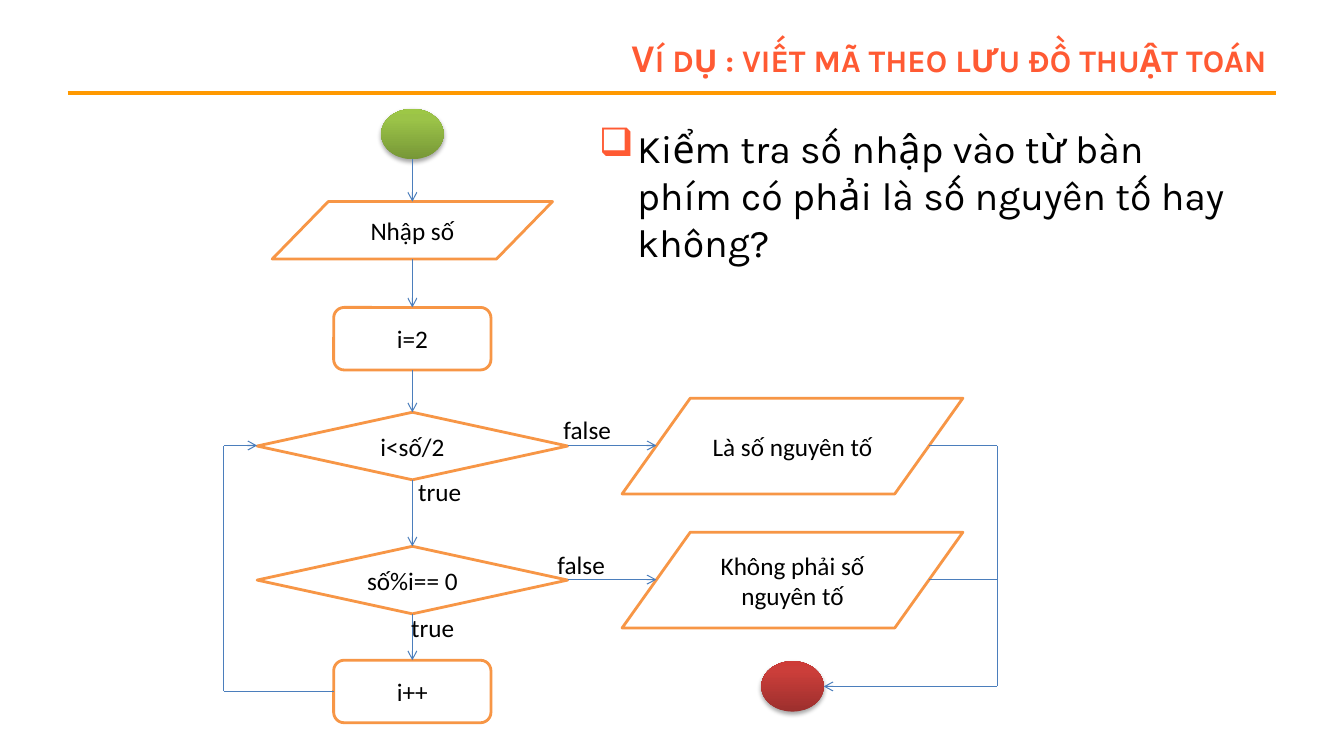
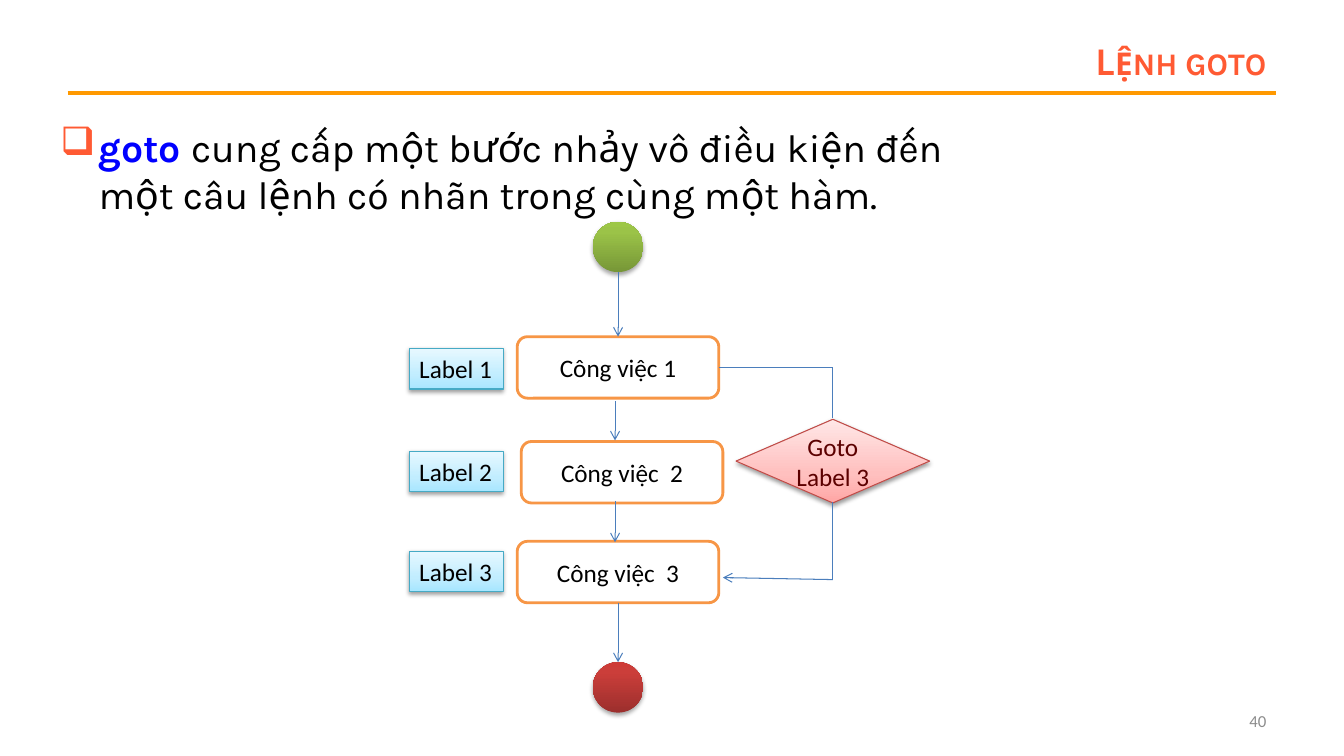
"""Build two slides that explain flowcharts and the goto statement."""
from copy import deepcopy
from dataclasses import dataclass
from itertools import pairwise
from typing import Any, Optional

from lxml import etree
from pptx import Presentation
from pptx.dml.color import RGBColor
from pptx.enum.shapes import MSO_CONNECTOR, MSO_SHAPE
from pptx.enum.text import MSO_ANCHOR, MSO_AUTO_SIZE, PP_ALIGN
from pptx.oxml.ns import qn
from pptx.util import Emu, Pt

EMU_PER_PX = 9144
TITLE_ONLY = 5
LEFT, CENTER, RIGHT = PP_ALIGN.LEFT, PP_ALIGN.CENTER, PP_ALIGN.RIGHT
TOP, MIDDLE = MSO_ANCHOR.TOP, MSO_ANCHOR.MIDDLE
NO_AUTOFIT = MSO_AUTO_SIZE.NONE
STRAIGHT = MSO_CONNECTOR.STRAIGHT
ELLIPSE, RECTANGLE = MSO_SHAPE.OVAL, MSO_SHAPE.RECTANGLE
PROCESS = MSO_SHAPE.ROUNDED_RECTANGLE
DECISION = MSO_SHAPE.FLOWCHART_DECISION
INPUT_OUTPUT = MSO_SHAPE.FLOWCHART_DATA

BLACK = RGBColor(0x00, 0x00, 0x00)
WHITE = RGBColor(0xFF, 0xFF, 0xFF)
CORAL = RGBColor(0xFF, 0x5A, 0x33)
AMBER = RGBColor(0xFF, 0x99, 0x00)
ORANGE = RGBColor(0xF7, 0x96, 0x46)
ARROW_BLUE = RGBColor(0x4B, 0x7E, 0xBC)
KEYWORD_BLUE = RGBColor(0x00, 0x00, 0xFF)
GREY = RGBColor(0x8C, 0x8C, 0x8C)
MAROON = RGBColor(0x5C, 0x00, 0x00)
RED_LINE = RGBColor(0xBF, 0x4C, 0x48)
CYAN_LINE = RGBColor(0x46, 0xAA, 0xC5)
GREENS = (RGBColor(0x77, 0x97, 0x37), RGBColor(0x9B, 0xC3, 0x48), RGBColor(0x9D, 0xC7, 0x46))
REDS = (RGBColor(0x9C, 0x2F, 0x2D), RGBColor(0xCB, 0x3E, 0x3A), RGBColor(0xCE, 0x3B, 0x37))
PINKS = (RGBColor(0xFF, 0xA6, 0xA5), RGBColor(0xFF, 0xC0, 0xBF), RGBColor(0xFF, 0xE7, 0xE7))
CYANS = (RGBColor(0xA7, 0xE6, 0xFF), RGBColor(0xC1, 0xED, 0xFF), RGBColor(0xE7, 0xF8, 0xFF))

TITLE_FONT = {"name": "Karla", "size": Pt(28), "bold": True}
BODY_FONT = {"name": "Karla", "size": Pt(28), "bold": False}
CHART_FONT = {"name": "Calibri", "size": Pt(18)}
NUMBER_FONT = {"name": "Calibri", "size": Pt(12)}


@dataclass(frozen=True)
class Box:
    """A rectangle in px."""
    left: int
    top: int
    width: int
    height: int


@dataclass(frozen=True)
class Span:
    """A stretch of text with one format."""
    text: str
    font: dict[str, Any]
    color: RGBColor = BLACK


@dataclass(frozen=True)
class Style:
    """The look of a flowchart node."""
    colors: tuple[RGBColor, ...] = (WHITE,)
    middle_stop: float = 0.35
    line: Optional[RGBColor] = ORANGE
    line_width: float = 2
    text_color: RGBColor = BLACK
    shadow_alpha: int = 0
    shadow_distance: int = 20000


@dataclass(frozen=True)
class Node:
    """A flowchart shape."""
    box: Box
    kind: MSO_SHAPE
    text: str = ""
    style: Style = Style()


@dataclass(frozen=True)
class Route:
    """A line through corner points."""
    points: tuple[tuple[int, int], ...]
    arrow: bool = True


START = Style(GREENS, 0.8, None, shadow_alpha=35000, shadow_distance=23000)
END = Style(REDS, 0.8, None, shadow_alpha=35000, shadow_distance=23000)
JUMP = Style(PINKS, 0.35, RED_LINE, 0.75, MAROON, 38000)
TAG = Style(CYANS, 0.35, CYAN_LINE, 0.75, BLACK, 38000)

PRIME_NODES = (
    Node(Box(378, 108, 62, 50), ELLIPSE, style=START),
    Node(Box(755, 656, 62, 50), ELLIPSE, style=END),
    Node(Box(270, 200, 278, 57), INPUT_OUTPUT, "Nhập số"),
    Node(Box(331, 305, 156, 62), PROCESS, "i=2"),
    Node(Box(255, 409, 308, 67), DECISION, "i<số/2"),
    Node(Box(255, 542, 308, 67), DECISION, "số%i== 0"),
    Node(Box(331, 655, 156, 62), PROCESS, "i++"),
    Node(Box(617, 395, 338, 95), INPUT_OUTPUT, "Là số nguyên tố"),
    Node(Box(617, 528, 338, 95), INPUT_OUTPUT, "Không phải số nguyên tố"),
)
PRIME_STEPS = ((158, 200), (257, 305), (367, 409), (476, 542), (609, 655))
PRIME_ROUTES = (
    *(Route(((409, start), (409, end))) for start, end in PRIME_STEPS),
    *(Route(((563, y), (651, y))) for y in (442, 575)),
    Route(((921, 442), (989, 442), (989, 681), (817, 681))),
    Route(((921, 575), (989, 575)), arrow=False),
    Route(((331, 686), (222, 686), (222, 442), (255, 442))),
)
PRIME_BRANCHES = (
    ("true", Box(405, 468, 63, 40)), ("false", Box(549, 406, 68, 40)),
    ("true", Box(398, 603, 63, 40)), ("false", Box(543, 540, 68, 40)),
)

GOTO_NODES = (
    Node(Box(588, 220, 50, 50), ELLIPSE, style=START),
    Node(Box(588, 657, 50, 50), ELLIPSE, style=END),
    Node(Box(730, 416, 192, 83), DECISION, "Goto Label 3", JUMP),
    Node(Box(513, 334, 200, 61), PROCESS, "Công việc 1"),
    Node(Box(517, 438, 200, 61), PROCESS, "Công việc  2"),
    Node(Box(513, 537, 200, 61), PROCESS, "Công việc  3"),
    *(Node(Box(406, top, 93, 40), RECTANGLE, f"Label {number}", TAG)
      for number, top in enumerate((346, 448, 547), 1)),
)
GOTO_ROUTES = (
    Route(((613, 270), (613, 334))),
    Route(((610, 398), (610, 437))),
    Route(((610, 497), (610, 538))),
    Route(((613, 598), (613, 657))),
    Route(((713, 365), (826, 365), (826, 415)), arrow=False),
    Route(((826, 498), (826, 575), (717, 573))),
)


def px(length: int) -> Emu:
    """Turn px into EMU."""
    return Emu(length * EMU_PER_PX)


def place(box: Box) -> tuple[Emu, ...]:
    """Return left, top, width and height in EMU."""
    return px(box.left), px(box.top), px(box.width), px(box.height)


def apply(target: Any, values: dict[str, Any]) -> None:
    """Set each named attribute of the target."""
    for name, value in values.items():
        setattr(target, name, value)


def write(shape: Any, spans: tuple[Span, ...], alignment: PP_ALIGN = LEFT,
          anchor: MSO_ANCHOR = TOP, wrap: bool = True) -> Any:
    """Fill a shape with one paragraph and return the paragraph."""
    frame = shape.text_frame
    apply(frame, {"auto_size": NO_AUTOFIT, "word_wrap": wrap, "vertical_anchor": anchor})
    paragraph = frame.paragraphs[0]
    paragraph.alignment = alignment
    for span in spans:
        run = paragraph.add_run()
        run.text = span.text
        apply(run.font, span.font)
        run.font.color.rgb = span.color
    return paragraph


def add_text(slide: Any, box: Box, spans: tuple[Span, ...], **layout: Any) -> Any:
    """Add a text box and return it."""
    shape = slide.shapes.add_textbox(*place(box))
    write(shape, spans, **layout)
    return shape


def add_bullet(slide: Any, box: Box, spans: tuple[Span, ...]) -> None:
    """Add a text box with a hanging square bullet."""
    shape = add_text(slide, box, spans)
    shape.text_frame.paragraphs[0].space_before = Pt(5.6)
    properties = next(shape.element.iter(qn("a:pPr")))
    properties.set("marL", str(px(38)))
    properties.set("indent", str(-px(38)))
    color = etree.SubElement(properties, qn("a:buClr"))
    etree.SubElement(color, qn("a:srgbClr"), val=str(CORAL))
    etree.SubElement(properties, qn("a:buChar"), char="❑")


def paint(shape: Any, style: Style) -> None:
    """Give a shape a plain fill or a three-stop vertical gradient."""
    if len(style.colors) == 1:
        shape.fill.solid()
        shape.fill.fore_color.rgb = style.colors[0]
        return
    shape.fill.gradient()
    shape.fill.gradient_angle = 90
    stops = next(shape.element.iter(qn("a:gsLst")))
    stops.append(deepcopy(stops[0]))
    positions = (0, style.middle_stop, 1)
    for stop, position, color in zip(shape.fill.gradient_stops, positions, style.colors):
        stop.position = position
        stop.color.rgb = color


def add_shadow(shape: Any, style: Style) -> None:
    """Replace the theme shadow by the style's own, if it has one."""
    shape.shadow.inherit = False
    if style.shadow_alpha:
        effects = next(shape.element.iter(qn("a:effectLst")))
        shadow = etree.SubElement(effects, qn("a:outerShdw"), blurRad="40000",
                                  dist=str(style.shadow_distance), dir="5400000",
                                  rotWithShape="0")
        color = etree.SubElement(shadow, qn("a:srgbClr"), val=str(BLACK))
        etree.SubElement(color, qn("a:alpha"), val=str(style.shadow_alpha))


def add_node(slide: Any, node: Node) -> None:
    """Draw a flowchart node."""
    style = node.style
    shape = slide.shapes.add_shape(node.kind, *place(node.box))
    paint(shape, style)
    if style.line is None:
        shape.line.fill.background()
    else:
        shape.line.color.rgb = style.line
        shape.line.width = Pt(style.line_width)
    add_shadow(shape, style)
    if node.text:
        is_tag = node.kind == RECTANGLE
        write(shape, (Span(node.text, CHART_FONT, style.text_color),),
              LEFT if is_tag else CENTER, MIDDLE, wrap=not is_tag)


def add_line(slide: Any, start: tuple[int, int], end: tuple[int, int],
             color: RGBColor = ARROW_BLUE, width: float = 0.75, arrow: bool = False) -> Any:
    """Draw a straight connector and return it."""
    connector = slide.shapes.add_connector(STRAIGHT, *map(px, (*start, *end)))
    connector.line.color.rgb = color
    connector.line.width = Pt(width)
    if arrow:
        etree.SubElement(next(connector.element.iter(qn("a:ln"))), qn("a:tailEnd"), type="arrow")
    etree.SubElement(connector.element.spPr, qn("a:effectLst"))
    return connector


def add_route(slide: Any, route: Route) -> None:
    """Draw a route with its arrowhead on the last leg."""
    for start, end in pairwise(route.points):
        add_line(slide, start, end, arrow=route.arrow and end == route.points[-1])


def add_titled_slide(presentation: Any, title: str, box: Box) -> Any:
    """Add a slide with a small-caps title on the right."""
    slide = presentation.slides.add_slide(presentation.slide_layouts[TITLE_ONLY])
    shape = slide.shapes.title
    apply(shape, dict(zip(("left", "top", "width", "height"), place(box))))
    write(shape, (Span(title, TITLE_FONT, CORAL),), RIGHT, MIDDLE)
    next(shape.element.iter(qn("a:rPr"))).set("cap", "small")
    return slide


def add_flowchart(slide: Any, nodes: tuple[Node, ...], routes: tuple[Route, ...]) -> None:
    """Draw nodes and the routes between them."""
    for node in nodes:
        add_node(slide, node)
    for route in routes:
        add_route(slide, route)


def main() -> None:
    """Build and save the presentation."""
    presentation = Presentation()
    apply(presentation, {"slide_width": px(1333), "slide_height": px(750)})

    prime = add_titled_slide(presentation, "Ví dụ : viết mã theo lưu đồ thuật toán",
                             Box(300, 30, 966, 53))
    rule = add_line(prime, (67, 92), (1266, 92), AMBER, 3)
    prime.slide_layout.shapes.element.append(rule.element)
    question = "Kiểm tra số nhập vào từ bàn phím có phải là số nguyên tố hay không?"
    add_bullet(prime, Box(584, 118, 652, 164), (Span(question, BODY_FONT),))
    add_flowchart(prime, PRIME_NODES, PRIME_ROUTES)
    for text, box in PRIME_BRANCHES:
        add_text(prime, box, (Span(text, CHART_FONT),), wrap=False)

    goto = add_titled_slide(presentation, "Lệnh goto", Box(541, 33, 725, 53))
    meaning = "cung cấp một bước nhảy vô điều kiện đến một câu lệnh có nhãn trong cùng một hàm."
    add_bullet(goto, Box(50, 117, 900, 110),
               (Span("goto ", TITLE_FONT, KEYWORD_BLUE), Span(meaning, BODY_FONT)))
    add_flowchart(goto, GOTO_NODES, GOTO_ROUTES)
    add_text(goto, Box(955, 695, 311, 40), (Span("40", NUMBER_FONT, GREY),),
             alignment=RIGHT, anchor=MIDDLE)
    presentation.save("out.pptx")


if __name__ == "__main__":
    main()
